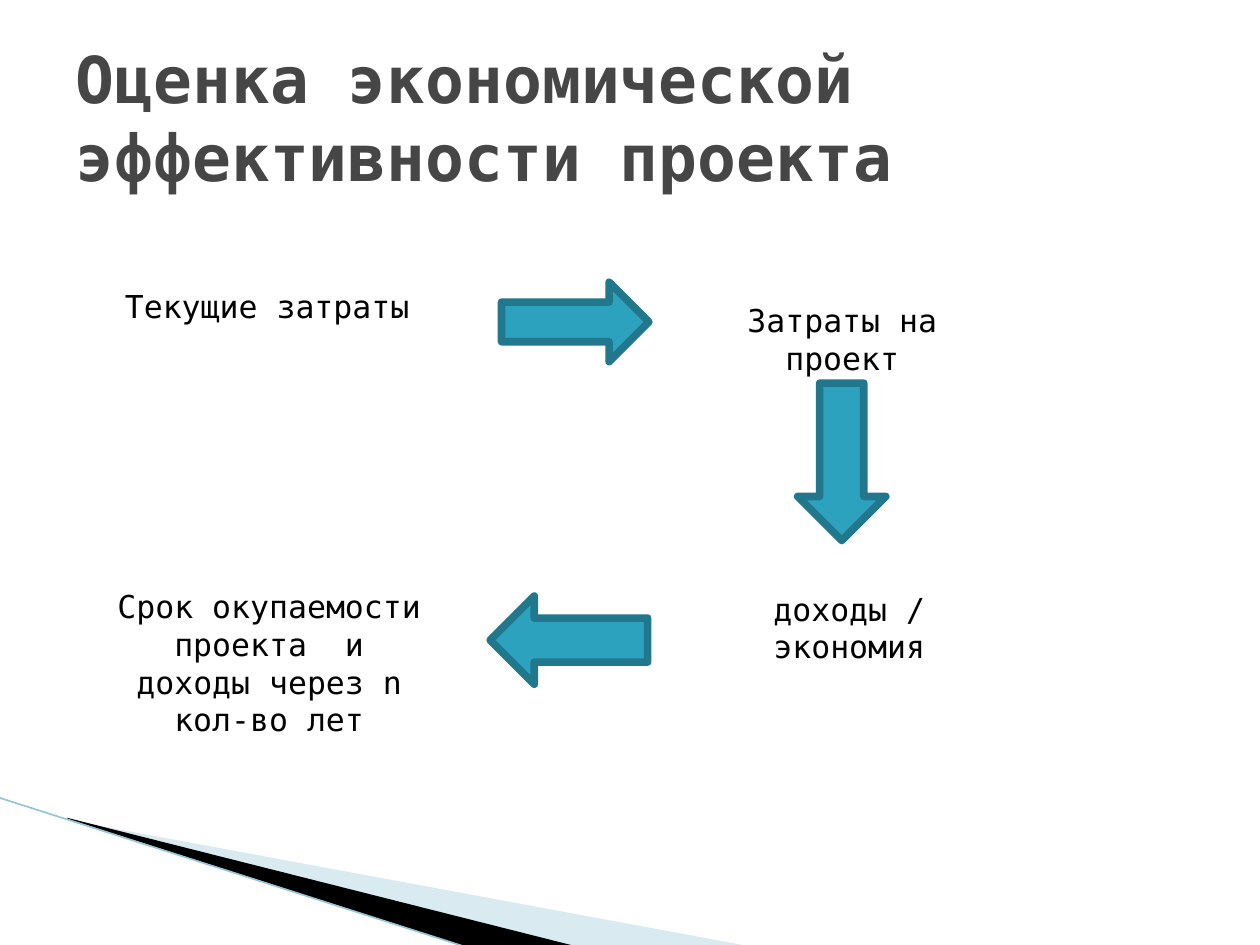
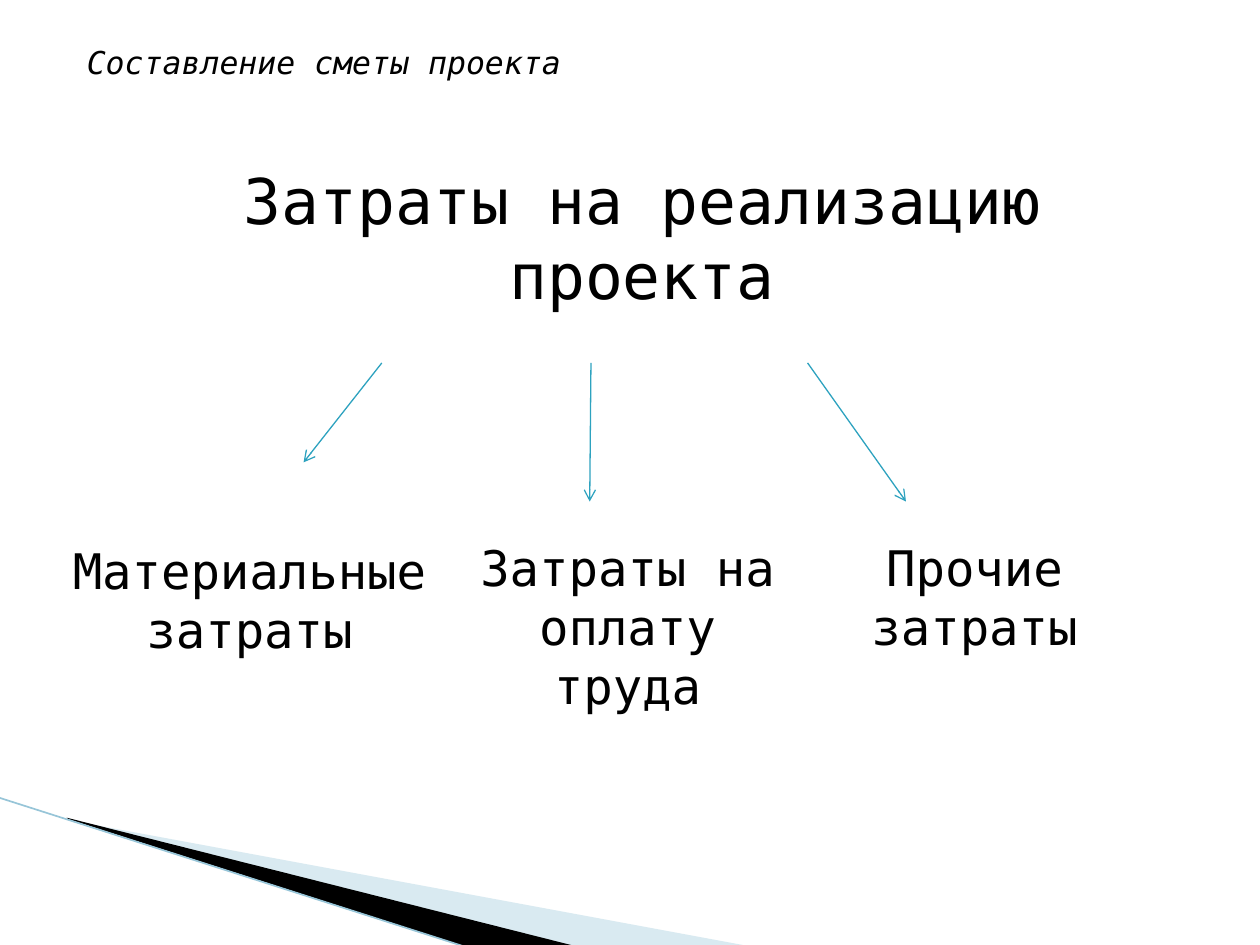
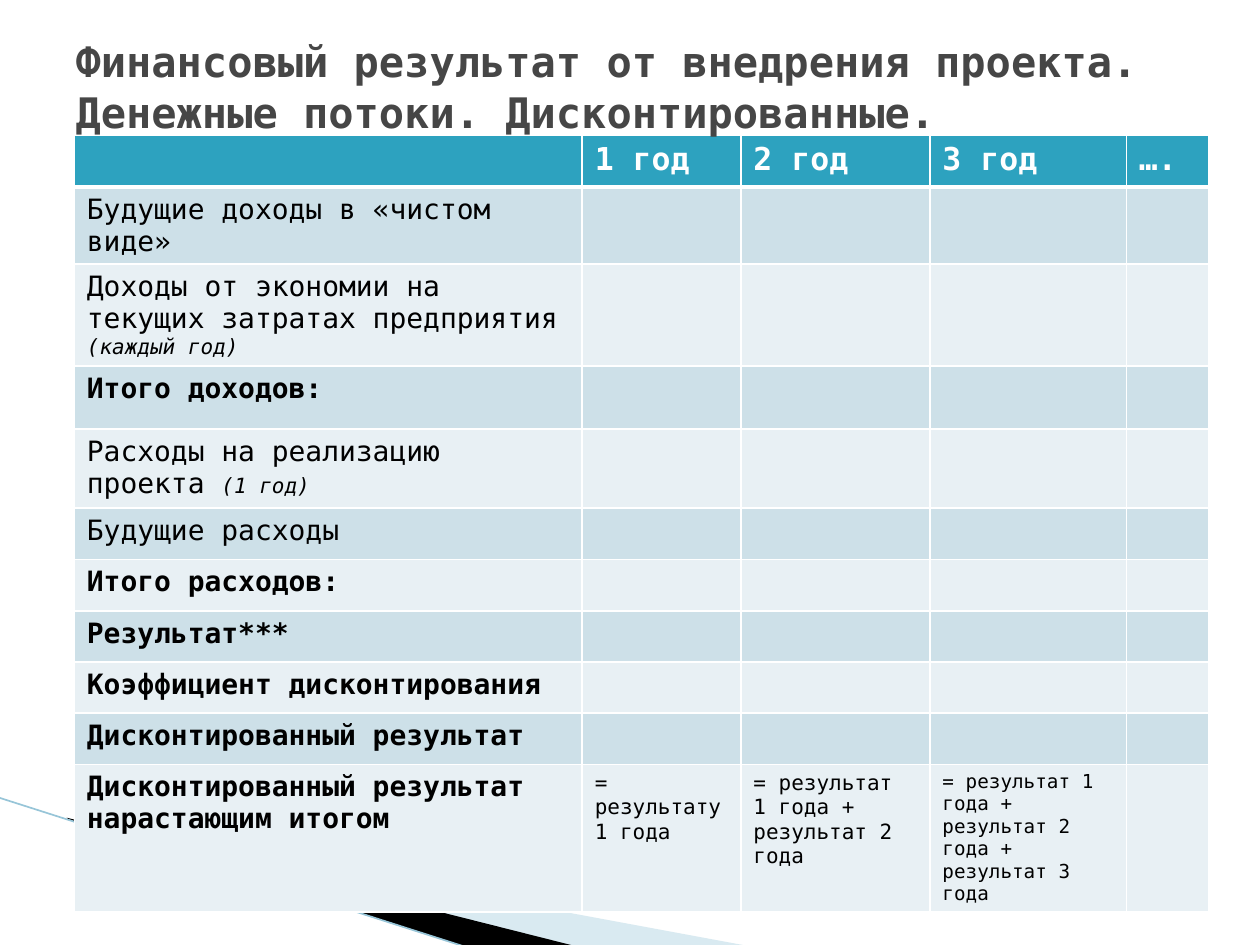
from lxml import etree
from pptx import Presentation
from pptx.dml.color import RGBColor
from pptx.enum.shapes import MSO_CONNECTOR, MSO_SHAPE
from pptx.enum.text import MSO_ANCHOR, MSO_AUTO_SIZE, PP_ALIGN
from pptx.oxml.ns import qn
from pptx.util import Pt

FONT = "DejaVu Sans Mono"
BLACK, WHITE, GREY = "000000", "FFFFFF", "464646"
TEAL, EDGE, PALE, RULE = "2DA2BF", "21788D", "A0CBDC", "97C5D8"
BANDS = ("CDE0E8", "E8F0F4")

# Corner band on the master: points, colour, opacity in percent
WEDGES = [
    ([(39.6, 468.72), (428.4, 540.72), (328.32, 540.72), (39.6, 468)], PALE, 40),
    ([(38.16, 467.28), (329.04, 540.72), (267.84, 541.44), (38.88, 468)], BLACK, 100),
]
EDGE_LINE = ((-0.72, 455.76), (267.12, 541.44))

# Slide 1: labels and arrows of the cycle
CYCLE = "Оценка экономической эффективности проекта"
STEPS = [
    ("Текущие затраты", (56.9, 160.6, 191.5, 28.8)),
    ("Затраты на проект", (399.6, 168.5, 163.4, 28.8)),
    ("доходы / экономия", (420.5, 333.4, 129.6, 51.1)),
    ("Срок окупаемости проекта  и доходы через n кол-во лет",
     (59.8, 331.9, 187.9, 72.7)),
]
ARROWS = [
    (MSO_SHAPE.RIGHT_ARROW, (286.6, 161.3, 84.2, 45.4)),
    (MSO_SHAPE.DOWN_ARROW, (455.8, 218.9, 50.4, 90)),
    (MSO_SHAPE.LEFT_ARROW, (280.1, 340.6, 90, 50.4)),
]

# Slide 2: cost tree, each branch with its label and its line
NOTE = ("Составление сметы проекта", (42.5, 20.9, 447.1, 28.8))
ROOT = ("Затраты на реализацию проекта", (116.6, 88.6, 500.4, 94.3))
FORK = 207.4
BRANCHES = [
    ("Материальные затраты", (31, 305.3, 223.2, 74.9), 218.2, (173.5, 264.2)),
    ("Затраты на оплату труда", (265.7, 303.8, 185.8, 74.9), 337.7, (337, 286.6)),
    ("Прочие затраты", (473, 303.8, 167.8, 74.9), 461.5, (517.7, 286.6)),
]

# Slide 3: rows as (height, cells), a cell being a list of (text, style) runs
FLOWS = ("Финансовый результат от внедрения проекта. "
         "Денежные потоки. Дисконтированные.")
STYLES = {
    "head": dict(size=18, color=WHITE, bold=True),
    "item": dict(size=16),
    "sum": dict(size=16, bold=True),
    "hint": dict(size=12, italic=True),
    "calc": dict(size=12),
    "fine": dict(size=11),
}
COLS = [290.2, 90.7, 108, 112.3, 46.8]
ROWS = [
    (29.5, [[], [("1 год", "head")], [("2 год", "head")],
            [("3 год", "head")], [("….", "head")]]),
    (43, [[("Будущие доходы в «чистом виде»", "item")]]),
    (58, [[("Доходы от экономии на текущих затратах предприятия ", "item"),
           ("(каждый год)", "hint")]]),
    (36, [[("Итого доходов:", "sum")]]),
    (45, [[("Расходы на реализацию проекта ", "item"), ("(1 год)", "hint")]]),
    (29.5, [[("Будущие расходы", "item")]]),
    (29.5, [[("Итого расходов:", "sum")]]),
    (28, [[("Результат***", "sum")]]),
    (28, [[("Коэффициент дисконтирования", "sum")]]),
    (28, [[("Дисконтированный результат", "sum")]]),
    (84, [[("Дисконтированный результат нарастающим итогом", "sum")],
          [("= результату 1 года", "calc")],
          [("= результат 1 года + результат 2 года", "calc")],
          [("= результат 1 года + результат 2 года + результат 3 года", "fine")]]),
]


def rgb(code):
    """Turn a hex string into a colour."""
    return RGBColor.from_string(code)


def pts(vals):
    """Turn plain numbers into lengths in points."""
    return [Pt(v) for v in vals]


def paint(shape, code):
    """Give a shape a plain fill and no shadow."""
    shape.shadow.inherit = False
    shape.fill.solid()
    shape.fill.fore_color.rgb = rgb(code)


def add_run(para, text, size, color=BLACK, bold=False, italic=False):
    """Add one formatted run to a paragraph."""
    run = para.add_run()
    run.text = text
    font = run.font
    font.name, font.size = FONT, Pt(size)
    font.bold, font.italic = bold, italic
    font.color.rgb = rgb(color)


def add_label(slide, text, box, size, align=PP_ALIGN.CENTER, italic=False):
    """Add a text box that grows with its text."""
    frame = slide.shapes.add_textbox(*pts(box)).text_frame
    frame.word_wrap = True
    frame.auto_size = MSO_AUTO_SIZE.SHAPE_TO_FIT_TEXT
    para = frame.paragraphs[0]
    para.alignment = align
    add_run(para, text, size, italic=italic)


def set_title(slide, text, size, high):
    """Place and fill the title, in front of all else."""
    title = slide.shapes.title
    title.left, title.top, title.width, title.height = pts((36, 21.6, 648, high))
    frame = title.text_frame
    frame.word_wrap = True
    frame.auto_size = MSO_AUTO_SIZE.NONE
    frame.vertical_anchor = MSO_ANCHOR.MIDDLE
    para = frame.paragraphs[0]
    para.alignment = PP_ALIGN.LEFT
    add_run(para, text, size, GREY, bold=True)
    slide.shapes.element.append(title.element)


def add_line(slide, start, end, color, width, arrow=False):
    """Add a straight line, with an arrowhead at its end if asked."""
    line = slide.shapes.add_connector(MSO_CONNECTOR.STRAIGHT, *pts(start + end))
    line.line.color.rgb = rgb(color)
    line.line.width = Pt(width)
    props = line.element.spPr
    if arrow:
        etree.SubElement(props.find(qn("a:ln")), qn("a:tailEnd"), type="arrow")
    etree.SubElement(props, qn("a:effectLst"))
    return line


def add_wedge(slide, dots, color, alpha):
    """Add a closed outline with a plain fill."""
    first, *rest = [tuple(pts(dot)) for dot in dots]
    pen = slide.shapes.build_freeform(*first)
    pen.add_line_segments(rest, close=True)
    wedge = pen.convert_to_shape()
    paint(wedge, color)
    wedge.line.fill.background()
    if alpha < 100:
        tone = wedge.element.spPr.find(qn("a:solidFill"))[0]
        etree.SubElement(tone, qn("a:alpha"), val=str(alpha * 1000))
    return wedge


def add_band(deck, slide):
    """Draw the corner band and move it to the master."""
    parts = [add_wedge(slide, *wedge) for wedge in WEDGES]
    parts.append(add_line(slide, *EDGE_LINE, RULE, 0.95))
    tree = deck.slide_master.shapes.element
    for num, part in enumerate(parts):
        part.element.find(".//" + qn("p:cNvPr")).set("id", str(100 + num))
        tree.insert(2 + num, part.element)


def add_borders(cell, low):
    """Give a cell white borders; low is the bottom width."""
    props = cell._tc.get_or_add_tcPr()
    for num, (side, width) in enumerate(zip("LRTB", (1, 1, 1, low))):
        edge = etree.Element(qn("a:ln" + side), w=str(Pt(width)))
        fill = etree.SubElement(edge, qn("a:solidFill"))
        etree.SubElement(fill, qn("a:srgbClr"), val=WHITE)
        props.insert(num, edge)


def add_grid(slide):
    """Add the table of cash flows."""
    high = sum(row[0] for row in ROWS)
    box = pts((42.5, 77.3, sum(COLS), high))
    table = slide.shapes.add_table(len(ROWS), len(COLS), *box).table
    for col, width in zip(table.columns, COLS):
        col.width = Pt(width)
    for num, (height, cells) in enumerate(ROWS):
        table.rows[num].height = Pt(height)
        color = BANDS[(num - 1) % 2] if num else TEAL
        for pos in range(len(COLS)):
            cell = table.cell(num, pos)
            cell.fill.solid()
            cell.fill.fore_color.rgb = rgb(color)
            add_borders(cell, 1 if num else 3)
            for text, style in cells[pos] if pos < len(cells) else []:
                add_run(cell.text_frame.paragraphs[0], text, **STYLES[style])


def draw_cycle(slide):
    """Build the slide with the cycle of arrows."""
    set_title(slide, CYCLE, 36.9, 90)
    for text, box in STEPS:
        add_label(slide, text, box, 18)
    for kind, box in ARROWS:
        arrow = slide.shapes.add_shape(kind, *pts(box))
        paint(arrow, TEAL)
        arrow.line.color.rgb = rgb(EDGE)
        arrow.line.width = Pt(4.33)


def draw_tree(slide):
    """Build the slide with the cost tree."""
    add_label(slide, *ROOT, 36)
    for text, box, left, end in BRANCHES:
        add_line(slide, (left, FORK), end, TEAL, 0.75, arrow=True)
        add_label(slide, text, box, 28)
    add_label(slide, *NOTE, 18, PP_ALIGN.LEFT, italic=True)


def draw_flows(slide):
    """Build the slide with the table."""
    add_grid(slide)
    set_title(slide, FLOWS, 24, 55.4)


deck = Presentation()
deck.slide_width, deck.slide_height = Pt(720), Pt(540)
TITLED, BLANK = deck.slide_layouts[5], deck.slide_layouts[6]
for layout, draw in ((TITLED, draw_cycle), (BLANK, draw_tree), (TITLED, draw_flows)):
    draw(deck.slides.add_slide(layout))
add_band(deck, deck.slides[0])
deck.save("out.pptx")
